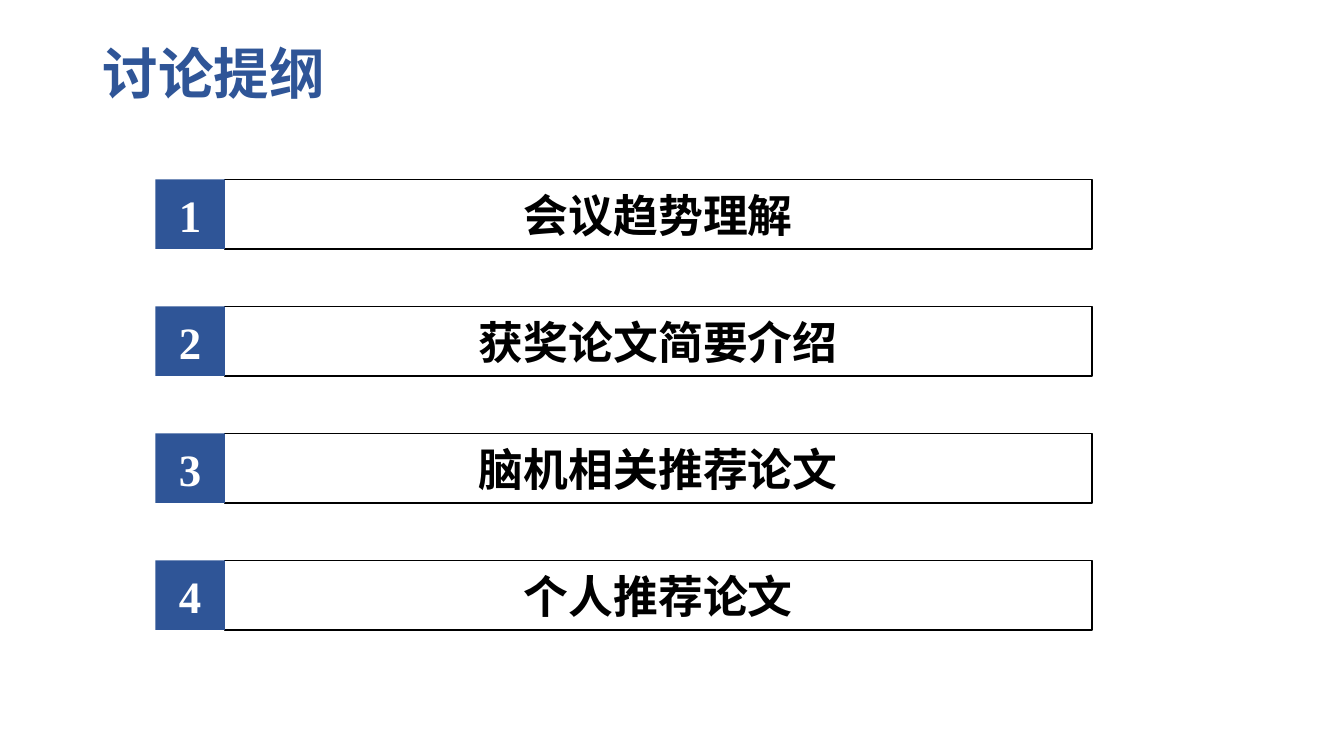
from dataclasses import dataclass

from lxml import etree
from pptx import Presentation
from pptx.dml.color import RGBColor
from pptx.enum.shapes import MSO_SHAPE
from pptx.enum.text import MSO_ANCHOR, MSO_AUTO_SIZE, PP_ALIGN
from pptx.oxml.ns import qn
from pptx.slide import Slide
from pptx.text.text import TextFrame
from pptx.util import Inches, Pt

RECT = MSO_SHAPE.RECTANGLE
MIDDLE = MSO_ANCHOR.MIDDLE
NO_FIT = MSO_AUTO_SIZE.NONE
LEFT, CENTER = PP_ALIGN.LEFT, PP_ALIGN.CENTER


@dataclass(frozen=True)
class Theme:
    blue: str = "2F5597"
    white: str = "FFFFFF"
    black: str = "000000"
    latin: str = "Times New Roman"
    cjk: str = "Noto Sans CJK SC"
    title_size: float = 39.6
    item_size: float = 32
    border: float = 1


@dataclass(frozen=True)
class Grid:
    """Outline grid in inches: a number column and a topic column."""
    left: float = 1.54
    top: float = 1.78
    number_width: float = 0.69
    topic_width: float = 8.6
    row_height: float = 0.69
    row_pitch: float = 1.26

    @property
    def topic_left(self) -> float:
        return self.left + self.number_width

    def row_top(self, row: int) -> float:
        return self.top + row * self.row_pitch


@dataclass(frozen=True)
class Box:
    left: float
    top: float
    width: float
    height: float

    def emu(self) -> tuple[int, ...]:
        return tuple(Inches(v) for v in (self.left, self.top, self.width, self.height))


THEME = Theme()
GRID = Grid()
TITLE_BOX = Box(0.92, 0.4, 11.5, 0.72)
TOPICS = ("会议趋势理解", "获奖论文简要介绍", "脑机相关推荐论文", "个人推荐论文")


def write(tf: TextFrame, text: str, *, color: str, size: float = THEME.item_size,
          font: str = THEME.latin, align: PP_ALIGN = CENTER,
          line_spacing: float = 1.0) -> None:
    tf.word_wrap = True
    tf.auto_size = NO_FIT
    tf.vertical_anchor = MIDDLE
    p = tf.paragraphs[0]
    p.alignment = align
    p.line_spacing = line_spacing
    r = p.add_run()
    r.text = text
    r.font.name = font
    r.font.size = Pt(size)
    r.font.bold = True
    r.font.color.rgb = RGBColor.from_string(color)
    etree.SubElement(r.font._element, qn("a:ea"), typeface=THEME.cjk)


def add_cell(slide: Slide, box: Box, text: str, *, fill: str, color: str,
             line: str | None = None) -> None:
    sp = slide.shapes.add_shape(RECT, *box.emu())
    sp.shadow.inherit = False
    sp.fill.solid()
    sp.fill.fore_color.rgb = RGBColor.from_string(fill)
    if line:
        sp.line.color.rgb = RGBColor.from_string(line)
        sp.line.width = Pt(THEME.border)
    else:
        sp.line.fill.background()
    write(sp.text_frame, text, color=color)


def add_title(slide: Slide, text: str) -> None:
    title = slide.shapes.title
    title.left, title.top, title.width, title.height = TITLE_BOX.emu()
    write(title.text_frame, text, color=THEME.blue, size=THEME.title_size,
          font=THEME.cjk, align=LEFT, line_spacing=0.9)


def add_outline_row(slide: Slide, row: int, topic: str) -> None:
    top = GRID.row_top(row)
    add_cell(slide, Box(GRID.topic_left, top, GRID.topic_width, GRID.row_height),
             topic, fill=THEME.white, color=THEME.black, line=THEME.black)
    add_cell(slide, Box(GRID.left, top, GRID.number_width, GRID.row_height),
             str(row + 1), fill=THEME.blue, color=THEME.white)


def main() -> None:
    prs = Presentation()
    prs.slide_width, prs.slide_height = Inches(13.33), Inches(7.5)
    slide = prs.slides.add_slide(prs.slide_layouts.get_by_name("Title Only"))
    add_title(slide, "讨论提纲")
    for row, topic in enumerate(TOPICS):
        add_outline_row(slide, row, topic)
    prs.save("out.pptx")


if __name__ == "__main__":
    main()
